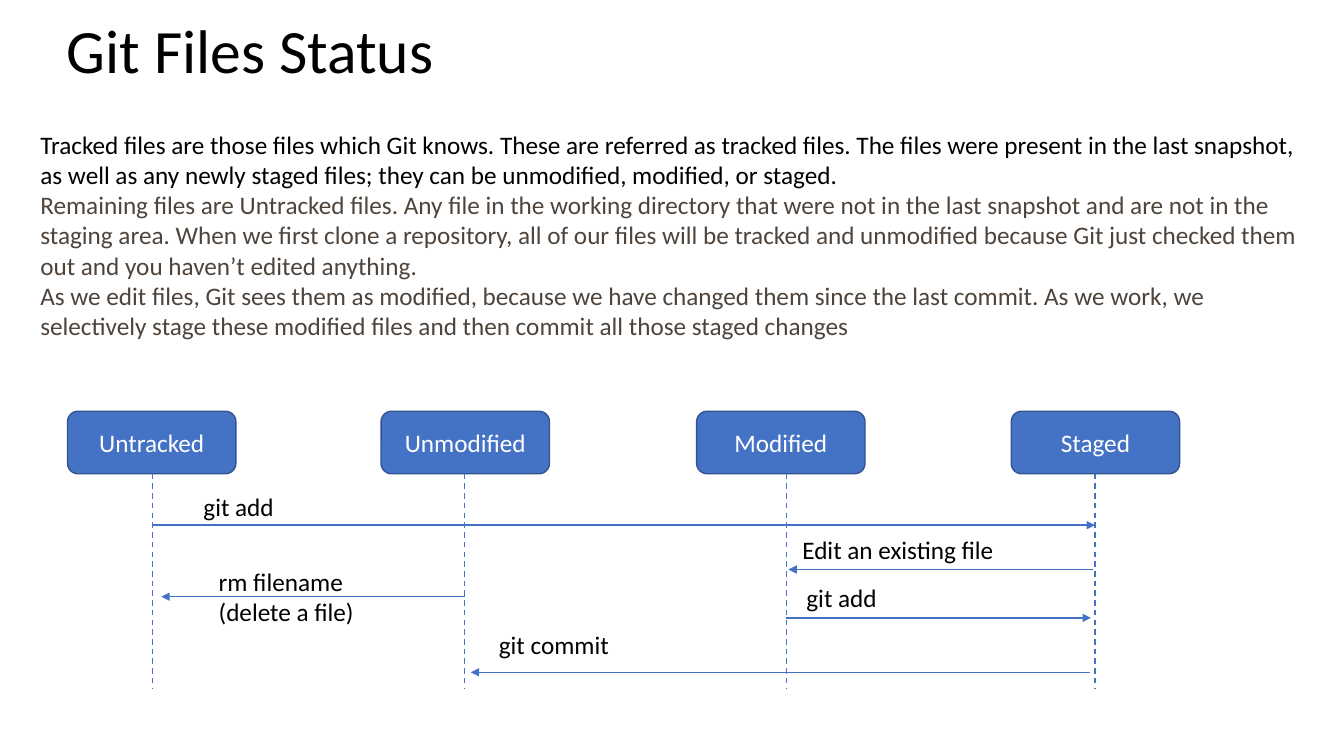
from pptx import Presentation
from pptx.dml.color import RGBColor
from pptx.enum.dml import MSO_LINE
from pptx.enum.shapes import MSO_CONNECTOR, MSO_SHAPE
from pptx.enum.text import MSO_ANCHOR, MSO_AUTO_SIZE, PP_ALIGN
from pptx.oxml.ns import qn
from pptx.util import Pt
from lxml import etree

EMU_PER_PX = 9144
FONT = "Calibri"
COLORS = {
    "black": "000000",
    "white": "FFFFFF",
    "brown": "4E443C",
    "blue": "4472C4",
    "navy": "325491",
}
ROUND_RECT = MSO_SHAPE.ROUNDED_RECTANGLE
STRAIGHT = MSO_CONNECTOR.STRAIGHT
DASH = MSO_LINE.DASH
TOP, MIDDLE = MSO_ANCHOR.TOP, MSO_ANCHOR.MIDDLE
LEFT, CENTER = PP_ALIGN.LEFT, PP_ALIGN.CENTER
NO_AUTOFIT = MSO_AUTO_SIZE.NONE

TITLE = "Git Files Status"
BODY = [
    ("Tracked files are those files which Git knows. These are referred as tracked files. "
     "The files were present in the last snapshot, as well as any newly staged files; "
     "they can be unmodified, modified, or staged.", "black"),
    ("Remaining files are Untracked files. Any file in the working directory that were not "
     "in the last snapshot and are not in the staging area. When we first clone a repository, "
     "all of our files will be tracked and unmodified because Git just checked them out and "
     "you haven’t edited anything.", "brown"),
    ("As we edit files, Git sees them as modified, because we have changed them since the "
     "last commit. As we work, we selectively stage these modified files and then commit all "
     "those staged changes", "brown"),
]
STATES = [
    ("Untracked", 67, 151),
    ("Unmodified", 378, 461),
    ("Modified", 691, 780),
    ("Staged", 1003, 1086),
]
STATE_TOP, STATE_WIDTH, STATE_HEIGHT = 408, 167, 62
LIFELINE_BOTTOM = 684
TRANSITIONS = [
    ("git add", 151, 1086, 521, (192, 483, 167, 40)),
    ("Edit an existing file", 1084, 782, 565, (786, 525, 254, 40)),
    ("git add", 780, 1082, 613, (790, 573, 167, 40)),
    ("rm filename (delete a file)", 461, 160, 592, (207, 557, 168, 71)),
    ("git commit", 1081, 467, 667, (485, 619, 167, 40)),
]


def px(*values):
    return [value * EMU_PER_PX for value in values]


def rgb(name):
    return RGBColor.from_string(COLORS[name])


def write(p, text, size=18, color="black", align=LEFT):
    p.alignment = align
    p.space_before = Pt(0)
    r = p.add_run()
    r.text = text
    r.font.name = FONT
    r.font.size = Pt(size)
    r.font.color.rgb = rgb(color)


def place(shape, box):
    shape.left, shape.top, shape.width, shape.height = px(*box)


def prepare_frame(shape, anchor):
    tf = shape.text_frame
    tf.word_wrap = True
    tf.auto_size = NO_AUTOFIT
    tf.vertical_anchor = anchor
    return tf


def add_title(s):
    title = s.shapes.title
    place(title, (56, 7, 1221, 84))
    write(prepare_frame(title, TOP).paragraphs[0], TITLE, size=44)


def add_body(s):
    body = s.placeholders[1]
    place(body, (40, 127, 1252, 242))
    body.fill.solid()
    body.fill.fore_color.rgb = rgb("white")
    tf = prepare_frame(body, MIDDLE)
    tf.margin_left, tf.margin_top, tf.margin_right, tf.margin_bottom = px(0, 0, 0, 30)
    for i, (text, color) in enumerate(BODY):
        p = tf.add_paragraph() if i else tf.paragraphs[0]
        pPr = p._p.get_or_add_pPr()
        pPr.set("marL", "0")
        pPr.set("indent", "0")
        etree.SubElement(pPr, qn("a:buNone"))
        write(p, text, color=color)


def add_state(s, name, left):
    box = s.shapes.add_shape(
        ROUND_RECT, *px(left, STATE_TOP, STATE_WIDTH, STATE_HEIGHT))
    box.shadow.inherit = False
    box.fill.solid()
    box.fill.fore_color.rgb = rgb("blue")
    box.line.color.rgb = rgb("navy")
    box.line.width = Pt(1)
    write(prepare_frame(box, MIDDLE).paragraphs[0], name, color="white", align=CENTER)


def add_line(s, start, end, dashed=False, arrow=False):
    line = s.shapes.add_connector(STRAIGHT, *px(*start, *end))
    line.line.color.rgb = rgb("blue")
    line.line.width = Pt(1)
    if dashed:
        line.line.dash_style = DASH
    spPr = line._element.spPr
    if arrow:
        etree.SubElement(spPr.find(qn("a:ln")), qn("a:tailEnd"), type="triangle")
    etree.SubElement(spPr, qn("a:effectLst"))


def add_label(s, text, box):
    label = s.shapes.add_textbox(*px(*box))
    write(prepare_frame(label, TOP).paragraphs[0], text)


def main():
    prs = Presentation()
    prs.slide_width, prs.slide_height = px(1333, 750)
    s = prs.slides.add_slide(prs.slide_layouts[1])
    add_title(s)
    add_body(s)
    for name, left, lifeline in STATES:
        add_state(s, name, left)
        add_line(s, (lifeline, STATE_TOP + STATE_HEIGHT), (lifeline, LIFELINE_BOTTOM),
                 dashed=True)
    for text, start, end, y, box in TRANSITIONS:
        add_line(s, (start, y), (end, y), arrow=True)
        add_label(s, text, box)
    prs.save("out.pptx")


if __name__ == "__main__":
    main()
